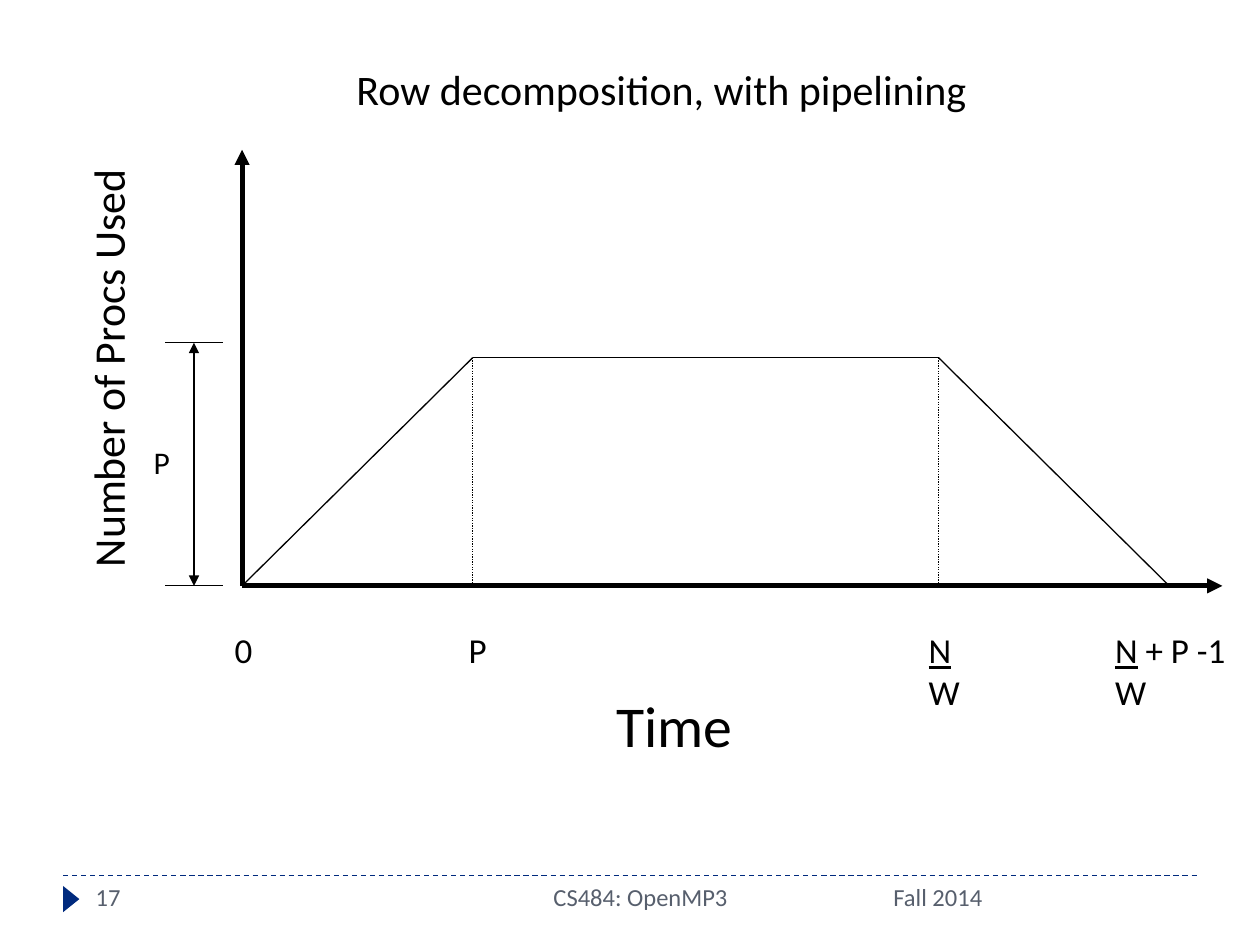
from dataclasses import dataclass

from lxml.etree import SubElement
from pptx import Presentation
from pptx.dml.color import RGBColor
from pptx.enum.dml import MSO_LINE
from pptx.enum.shapes import MSO_CONNECTOR, MSO_SHAPE
from pptx.enum.text import MSO_ANCHOR, PP_ALIGN
from pptx.oxml.ns import qn
from pptx.util import Cm, Pt


@dataclass(frozen=True)
class Theme:
    font: str = "Calibri"
    ink: str = "000000"
    grey: str = "575F6D"
    blue: str = "002A7E"
    time: int = 33
    side: int = 25
    title: int = 24
    tick: int = 20
    mark: int = 18
    foot: int = 14
    thin: float = 0.75
    thick: float = 2.89


def write(frame, text, size, font, color, align=PP_ALIGN.LEFT, wrap=False,
          anchor=MSO_ANCHOR.TOP):
    frame.word_wrap = wrap
    frame.vertical_anchor = anchor
    frame.margin_left = frame.margin_right = Cm(0.23)
    frame.margin_top, frame.margin_bottom = Cm(0.13), Cm(0.1)
    for row, line in enumerate(text.split("\n")):
        para = frame.add_paragraph() if row else frame.paragraphs[0]
        para.alignment = align
        for place, part in enumerate(line.split("_")):
            if part:
                run = para.add_run()
                run.text = part
                run.font.size = Pt(size)
                run.font.name = font
                run.font.color.rgb = RGBColor.from_string(color)
                run.font.underline = place % 2 == 1


class Board:
    def __init__(self, slide, theme):
        self.slide = slide
        self.theme = theme

    def title(self, text, box):
        shape = self.slide.shapes.title
        shape.left, shape.top, shape.width, shape.height = map(Cm, box)
        write(shape.text_frame, text, self.theme.title, self.theme.font,
              self.theme.ink, PP_ALIGN.CENTER, True, MSO_ANCHOR.MIDDLE)

    def label(self, text, box, size, color=None, turn=0, **style):
        shape = self.slide.shapes.add_textbox(*map(Cm, box))
        shape.rotation = turn
        write(shape.text_frame, text, size, self.theme.font,
              color or self.theme.ink, **style)

    def line(self, start, end, width=None, color=None, dash=None, tips=()):
        link = self.slide.shapes.add_connector(
            MSO_CONNECTOR.STRAIGHT, *map(Cm, (*start, *end)))
        link.line.width = Pt(width or self.theme.thin)
        link.line.color.rgb = RGBColor.from_string(color or self.theme.ink)
        if dash:
            link.line.dash_style = dash
        for tip in tips:
            SubElement(link.line._get_or_add_ln(), qn(f"a:{tip}"), type="triangle")
        SubElement(link._element.spPr, qn("a:effectLst"))

    def wedge(self, box, color, turn):
        shape = self.slide.shapes.add_shape(
            MSO_SHAPE.ISOSCELES_TRIANGLE, *map(Cm, box))
        shape.rotation = turn
        shape.shadow.inherit = False
        shape.fill.solid()
        shape.fill.fore_color.rgb = RGBColor.from_string(color)
        shape.line.fill.background()


def main():
    deck = Presentation()
    deck.slide_width, deck.slide_height = Cm(25.4), Cm(19.05)
    theme = Theme()
    board = Board(deck.slides.add_slide(deck.slide_layouts[5]), theme)
    board.title("Row decomposition, with pipelining", (1.27, 0.64, 24.13, 2.26))

    left, base = 4.88, 11.81
    rise, fall, stop, peak = 9.53, 18.92, 23.57, 7.21
    for end in ((24.64, base), (left, 3.02)):
        board.line((left, base), end, theme.thick, tips=["tailEnd"])
    curve = [(left, base), (rise, peak), (fall, peak), (stop, base)]
    for start, end in zip(curve, curve[1:]):
        board.line(start, end)
    for x in (rise, fall):
        board.line((x, peak), (x, base), dash=MSO_LINE.ROUND_DOT)

    top = 6.91
    for y in (top, base):
        board.line((3.33, y), (4.5, y))
    board.line((3.91, top), (3.91, base), tips=["headEnd", "tailEnd"])
    board.label("P", (2.87, 8.81, 0.79, 0.89), theme.mark)

    ticks = [("0", 4.5, 0.89), ("P", 9.22, 0.89),
             ("_N_\nW", 18.49, 1.14), ("_N_ + P -1\nW", 22.25, 3.35)]
    for text, x, width in ticks:
        high = 1.85 if "\n" in text else 1.04
        board.label(text, (x, 12.55, width, high), theme.tick)
    board.label("Time", (10.59, 13.77, 6.02, 1.57), theme.time,
                align=PP_ALIGN.CENTER)
    board.label("Number of Procs Used", (-1.8, 6.27, 8.92, 2.31), theme.side,
                turn=270, align=PP_ALIGN.CENTER)

    foot = 17.65
    board.line((1.27, foot), (24.13, foot), color=theme.blue, dash=MSO_LINE.DASH)
    board.wedge((1.17, 17.96, 0.53, 0.33), theme.blue, 90)
    notes = [("17", 1.7, 5.51, PP_ALIGN.LEFT),
             ("CS484: OpenMP3", 8.05, 9.73, PP_ALIGN.CENTER),
             ("Fall 2014", 17.78, 6.35, PP_ALIGN.LEFT)]
    for text, x, width, align in notes:
        board.label(text, (x, foot, width, 1.02), theme.foot, theme.grey,
                    align=align, wrap=True)
    deck.save("out.pptx")


if __name__ == "__main__":
    main()
